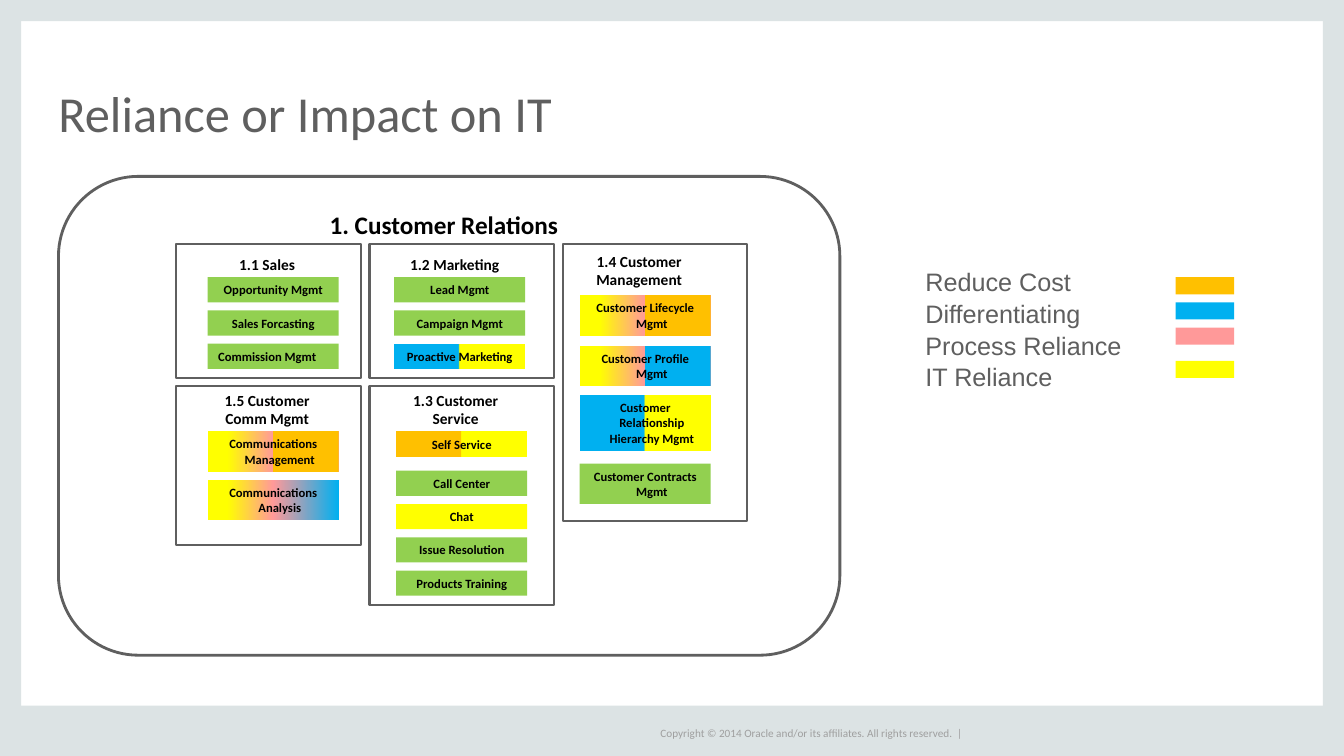
"""Build the slide that maps customer capabilities to their reliance on IT."""
from lxml import etree
from pptx import Presentation
from pptx.dml.color import RGBColor
from pptx.enum import shapes, text
from pptx.oxml.ns import qn
from pptx.util import Inches, Pt

COLORS = {
    "edge": "DCE3E4", "gray": "5F5F5F", "pale": "9F9F9F", "black": "000000",
    "green": "92D050", "orange": "FFC000", "blue": "00B0F0",
    "pink": "FF9999", "yellow": "FFFF00",
}
GRADIENTS = {
    "orange to yellow": [(49, "orange"), (50, "yellow"), (100, "yellow")],
    "blue to yellow": [(49, "blue"), (50, "yellow"), (50, "yellow")],
    "process and cost": [(15, "yellow"), (50, "pink"), (50, "orange")],
    "process and edge": [(15, "yellow"), (50, "pink"), (50, "blue")],
    "process into edge": [(15, "yellow"), (50, "pink"), (100, "blue")],
}
TITLE = "Reliance or Impact on IT"
DOMAIN = "1. Customer Relations"
COPYRIGHT = "Copyright © 2014 Oracle and/or its affiliates. All rights reserved.  |"
EDGES = [(0, 0, 0.21, 7.5), (13.12, 0, 0.21, 7.5), (0, 7, 13.33, 0.5), (0, 0, 13.33, 0.21)]
LEGEND = [("Reduce Cost", "orange", 2.75), ("Differentiating", "blue", 3),
          ("Process Reliance", "pink", 3.25), ("IT Reliance", "yellow", 3.58)]

# heading, column, frame top, frame height, heading top, heading center, cell left, cells
SECTIONS = [
    ("1.1 Sales", 0, 2.42, 1.33, 2.48, 2.65, 2.06, [
        ("Opportunity Mgmt", 2.75, 1, "green"),
        ("Sales Forcasting", 3.08, 1, "green"),
        ("Commission Mgmt", 3.41, 1, "green")]),
    ("1.2 Marketing", 1, 2.42, 1.33, 2.48, 4.51, 3.91, [
        ("Lead Mgmt", 2.75, 1, "green"),
        ("Campaign Mgmt", 3.08, 1, "green"),
        ("Proactive Marketing", 3.41, 1, "blue to yellow")]),
    ("1.3 Customer Service", 1, 3.83, 2.17, 3.83, 4.52, 3.93, [
        ("Self Service", 4.28, 1, "orange to yellow"),
        ("Call Center", 4.67, 1, "green"),
        ("Chat", 5, 1, "yellow"),
        ("Issue Resolution", 5.33, 1, "green"),
        ("Products Training", 5.66, 1, "green")]),
    ("1.4 Customer\vManagement", 2, 2.42, 2.75, 2.45, 6.34, 5.75, [
        ("Customer Lifecycle Mgmt", 2.93, 2, "process and cost"),
        ("Customer Profile Mgmt", 3.43, 2, "process and edge"),
        ("Customer Relationship Hierarchy Mgmt", 3.92, 3, "blue to yellow"),
        ("Customer Contracts Mgmt", 4.6, 2, "green")]),
    ("1.5 Customer\vComm Mgmt", 0, 3.83, 1.58, 3.83, 2.65, 2.06, [
        ("Communications Management", 4.28, 2, "process and cost"),
        ("Communications Analysis", 4.76, 2, "process into edge")]),
]


def color(name):
    return RGBColor.from_string(COLORS[name])


def set_font(paragraph, size, name="black", bold=False, face="Calibri"):
    font = paragraph.font
    font.size, font.bold, font.name = Pt(size), bold, face
    font.color.rgb = color(name)


def add_box(slide, place, fill=None, line_width=None, kind=shapes.MSO_SHAPE.RECTANGLE):
    shape = slide.shapes.add_shape(kind, *map(Inches, place))
    shape.shadow.inherit = False
    if fill in GRADIENTS:
        shape.fill.gradient()
        shape.fill.gradient_angle = 0
        stops = shape._element.spPr.find(".//" + qn("a:gsLst"))
        stops[:] = []
        for position, name in GRADIENTS[fill]:
            stop = etree.SubElement(stops, qn("a:gs"), pos=str(position * 1000))
            etree.SubElement(stop, qn("a:srgbClr"), val=COLORS[name])
    elif fill:
        shape.fill.solid()
        shape.fill.fore_color.rgb = color(fill)
    else:
        shape.fill.background()
    if line_width:
        shape.line.color.rgb = color("gray")
        shape.line.width = Pt(line_width)
    else:
        shape.line.fill.background()
    return shape


def add_text(slide, place, words):
    frame = slide.shapes.add_textbox(*map(Inches, place)).text_frame
    frame.word_wrap = False
    frame.text = words
    return frame


def add_cell(slide, left, top, label, lines, fill):
    shape = add_box(slide, (left, top, 1.3, 0.1 + 0.15 * lines), fill)
    frame = shape.text_frame
    frame.word_wrap = True
    frame.text = label
    if label == "Commission Mgmt":
        frame.margin_left, frame.margin_right = Inches(0.04), Inches(0.16)
    paragraph = frame.paragraphs[0]
    paragraph.alignment = text.PP_ALIGN.CENTER
    properties = paragraph._p.get_or_add_pPr()
    properties.set("marL", str(Inches(0.13)))
    properties.set("indent", str(-Inches(0.13)))
    set_font(paragraph, 9, bold=True)


def add_section(slide, heading, column, top, height, heading_top, center, cell_left, cells):
    add_box(slide, (1.75 + 1.915 * column, top, 1.83, height), line_width=1.5)
    for label, cell_top, lines, fill in cells:
        add_cell(slide, cell_left, cell_top, label, lines, fill)
    heading_height = 0.47 if "\v" in heading else 0.29
    frame = add_text(slide, (center - 0.75, heading_top, 1.5, heading_height), heading)
    frame.paragraphs[0].alignment = text.PP_ALIGN.CENTER
    set_font(frame.paragraphs[0], 11, bold=True)


def add_title(slide):
    title = slide.shapes.title
    title.left, title.top, title.width, title.height = map(Inches, (0.58, 0.44, 12.17, 0.97))
    frame = title.text_frame
    frame.text = TITLE
    frame.auto_size = text.MSO_AUTO_SIZE.NONE
    frame.vertical_anchor = text.MSO_ANCHOR.BOTTOM
    frame.margin_left = frame.margin_top = frame.margin_right = frame.margin_bottom = 0
    paragraph = frame.paragraphs[0]
    paragraph.alignment = text.PP_ALIGN.LEFT
    paragraph.line_spacing = 0.8
    set_font(paragraph, 36, "gray")


def add_legend(slide):
    labels = "\n".join(label for label, _, _ in LEGEND)
    for paragraph in add_text(slide, (9.08, 2.58, 2.17, 1.31), labels).paragraphs:
        paragraph.line_spacing = 1.05
        set_font(paragraph, 18, "gray", face="Arial")
    for _, fill, top in LEGEND:
        add_box(slide, (11.66, top, 0.58, 0.17), fill)


def main():
    presentation = Presentation()
    presentation.slide_width, presentation.slide_height = Inches(13.33), Inches(7.5)
    slide = presentation.slides.add_slide(presentation.slide_layouts[5])
    for edge in EDGES:
        add_box(slide, edge, "edge")
    footer = add_text(slide, (6.55, 7.17, 3.05, 0.2), COPYRIGHT)
    footer.margin_left = footer.margin_top = footer.margin_right = footer.margin_bottom = 0
    footer.vertical_anchor = text.MSO_ANCHOR.MIDDLE
    set_font(footer.paragraphs[0], 8, "pale")
    add_title(slide)
    add_box(slide, (0.58, 1.75, 7.75, 4.75), line_width=2,
            kind=shapes.MSO_SHAPE.ROUNDED_RECTANGLE)
    domain = add_text(slide, (3.17, 2.03, 2.49, 0.4), DOMAIN)
    set_font(domain.paragraphs[0], 18, bold=True)
    for section in SECTIONS:
        add_section(slide, *section)
    add_legend(slide)
    presentation.save("out.pptx")


if __name__ == "__main__":
    main()
